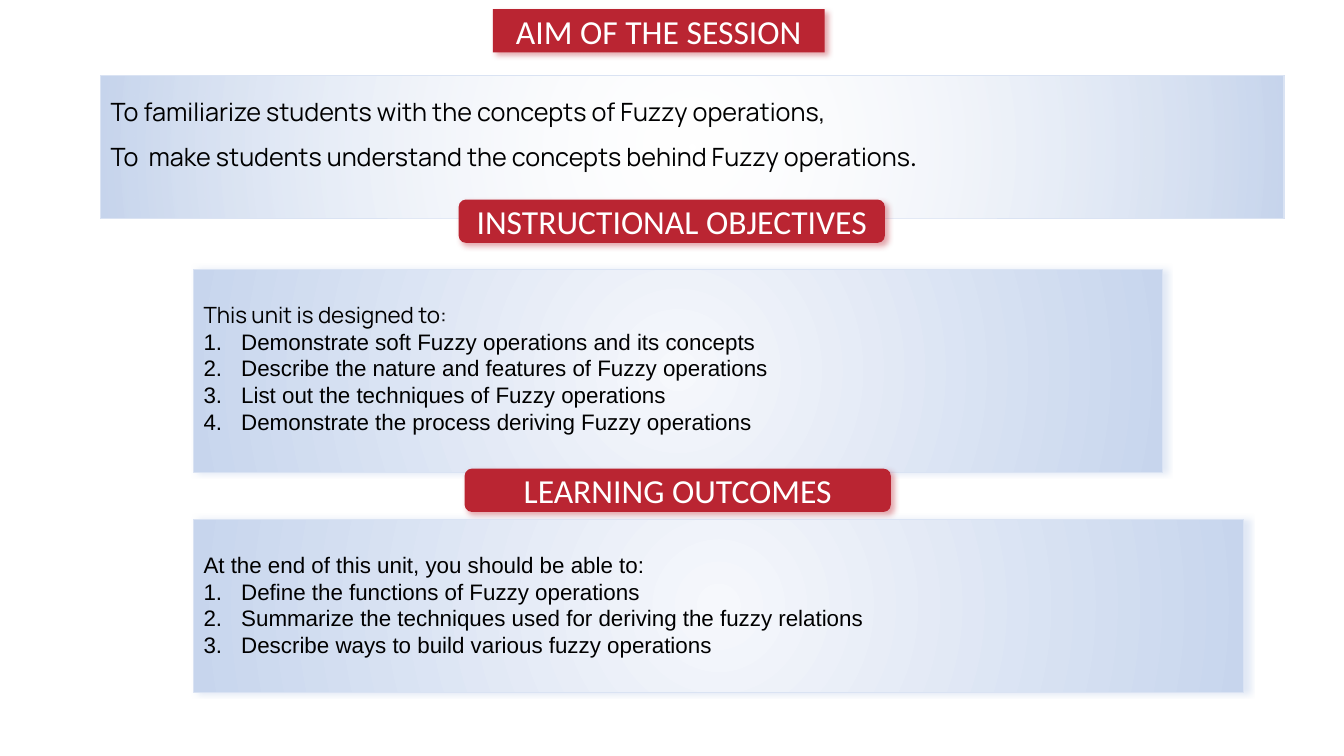
from pptx import Presentation
from pptx.dml.color import RGBColor
from pptx.enum.shapes import MSO_SHAPE as Shape
from pptx.enum.text import MSO_ANCHOR as Anchor, MSO_AUTO_SIZE as Auto, PP_ALIGN as Align
from pptx.oxml import parse_xml
from pptx.oxml.ns import nsdecls, qn
from pptx.util import Cm, Pt


def color(code):
    return RGBColor.from_string(code)


def node(xml):
    """Parse an XML element whose tag, without prefix, opens the string."""
    return parse_xml(f"<a:{xml}".replace(" ", f" {nsdecls('a')} ", 1))


class Deck:
    red, white, black = "BA2532", "FFFFFF", "000000"
    pale, blue, edge, shade = "F6F8FC", "C7D5ED", "DAE3F3", "B4C7E7"
    indent = 0.95

    def __init__(self):
        self.prs = Presentation()
        self.prs.slide_width, self.prs.slide_height = Cm(33.87), Cm(19.05)
        self.slide = self.prs.slides.add_slide(self.prs.slide_layouts[5])

    def place(self, shape, at):
        for name, value in zip(("left", "top", "width", "height"), at):
            setattr(shape, name, Cm(value))

    def add(self, kind, at):
        return self.slide.shapes.add_shape(kind, *map(Cm, at))

    def shadow(self, shape, code, angle):
        shape.shadow.inherit = False
        effects = shape._element.spPr.find(qn("a:effectLst"))
        effects.append(node(
            f'outerShdw blurRad="{Pt(4)}" dist="{Pt(3)}" dir="{angle * 60000}" '
            f'algn="tl" rotWithShape="0"><a:srgbClr val="{code}">'
            '<a:alpha val="40000"/></a:srgbClr></a:outerShdw>'))

    def frame(self, shape, **style):
        for name, value in style.items():
            setattr(shape.text_frame, name, value)
        return shape.text_frame

    def put(self, par, text, face, size, code):
        """Add a formatted run to a paragraph."""
        run = par.add_run()
        run.text = text
        style = {"name": face, "size": Pt(size), "bold": False}
        for name, value in style.items():
            setattr(run.font, name, value)
        run.font.color.rgb = color(code)

    def badge(self, shape, text):
        """Style a shape as a red heading."""
        shape.fill.solid()
        shape.fill.fore_color.rgb = color(self.red)
        shape.line.fill.background()
        self.shadow(shape, self.red, 45)
        frame = self.frame(shape, word_wrap=True, auto_size=Auto.NONE,
                           vertical_anchor=Anchor.MIDDLE)
        par = frame.paragraphs[0]
        par.alignment = Align.CENTER
        self.put(par, text, "Calibri", 24, self.white)

    def title(self, at, text):
        shape = self.slide.shapes.title
        self.place(shape, at)
        shape._element.spPr.append(
            node('prstGeom prst="roundRect"><a:avLst/></a:prstGeom>'))
        self.badge(shape, text)

    def heading(self, at, text):
        self.badge(self.add(Shape.ROUNDED_RECTANGLE, at), text)

    def panel(self, at, clear=False):
        """Add a box with a radial gradient; clear makes its centre see-through."""
        shape = self.add(Shape.RECTANGLE, at)
        shape.fill.gradient()
        stops = shape.fill.gradient_stops
        for stop, spot, code in zip(stops, (0, 1), (self.pale, self.blue)):
            stop.position = spot
            stop.color.rgb = color(code)
        grad = shape._element.spPr.find(qn("a:gradFill"))
        if clear:
            grad.find(".//" + qn("a:srgbClr")).append(node('alpha val="0"/>'))
        grad.remove(grad.find(qn("a:lin")))
        grad.append(node('path path="circle"><a:fillToRect l="50000" t="50000" '
                         'r="50000" b="50000"/></a:path>'))
        shape.line.color.rgb = color(self.edge)
        shape.line.width = Pt(0.75)
        shape.shadow.inherit = False
        if not clear:
            self.shadow(shape, self.shade, 0)
        return self.frame(shape, word_wrap=True, vertical_anchor=Anchor.TOP,
                          auto_size=Auto.SHAPE_TO_FIT_TEXT)

    def line(self, frame, first, space=None):
        par = frame.paragraphs[0] if first else frame.add_paragraph()
        par.alignment = Align.LEFT
        if space:
            par.line_spacing = space
        return par

    def aims(self, at, lines):
        frame = self.panel(at, clear=True)
        for i, runs in enumerate(lines):
            par = self.line(frame, i == 0, 1.5)
            for text, face in runs:
                self.put(par, text, face, 18, self.black)

    def goals(self, at, intro, face, items):
        """Add a panel with an intro line and a numbered list."""
        frame = self.panel(at)
        self.put(self.line(frame, True, 2.0), intro, face, 16, self.black)
        for text in items:
            par = self.line(frame, False)
            props = par._p.get_or_add_pPr()
            props.set("marL", str(Cm(self.indent)))
            props.set("indent", str(-Cm(self.indent)))
            props.append(node('buFont typeface="Arial"/>'))
            props.append(node('buAutoNum type="arabicPeriod"/>'))
            self.put(par, text, "Arial", 16, self.black)


def main():
    deck = Deck()
    deck.title((12.42, 0.23, 8.36, 1.09), "AIM OF THE SESSION")
    deck.aims((2.54, 1.91, 29.82, 3.61), [
        [("To familiarize students with the concepts of Fuzzy operations,", "Manrope")],
        [("To  make students understand the concepts behind Fuzzy operations", "Manrope"),
         (".", "Calibri")],
    ])
    deck.heading((11.56, 5.03, 10.74, 1.09), "INSTRUCTIONAL OBJECTIVES")
    deck.goals((4.88, 6.78, 24.41, 5.13), "This unit is designed to:", "Manrope", [
        "Demonstrate soft Fuzzy operations and its concepts",
        "Describe the nature and features of Fuzzy operations",
        "List out the techniques of Fuzzy operations",
        "Demonstrate the process deriving Fuzzy operations",
    ])
    deck.heading((11.71, 11.81, 10.74, 1.09), "LEARNING OUTCOMES")
    deck.goals((4.88, 13.08, 26.47, 4.37),
               "At the end of this unit, you should be able to:", "Arial", [
                   "Define the functions of Fuzzy operations",
                   "Summarize the techniques used for deriving the fuzzy relations",
                   "Describe ways to build various fuzzy operations",
               ])
    deck.prs.save("out.pptx")


if __name__ == "__main__":
    main()
